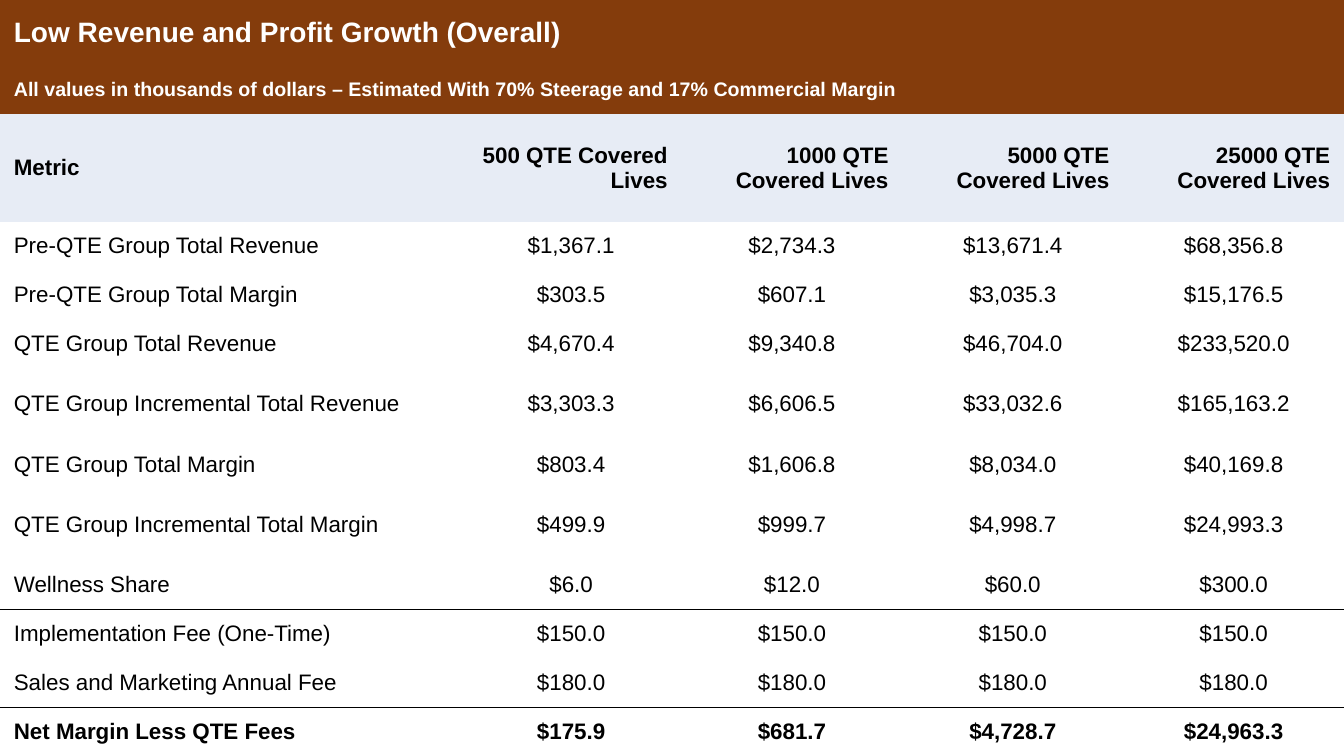
from lxml import etree
from pptx import Presentation
from pptx.dml.color import RGBColor
from pptx.enum.text import MSO_ANCHOR, PP_ALIGN
from pptx.oxml.ns import qn
from pptx.util import Cm, Pt

LEFT, MID, RIGHT = PP_ALIGN.LEFT, PP_ALIGN.CENTER, PP_ALIGN.RIGHT
CENTER = MSO_ANCHOR.MIDDLE
BROWN = RGBColor(0x84, 0x3C, 0x0C)
PALE = RGBColor(0xE7, 0xEC, 0xF5)
WHITE = RGBColor(0xFF, 0xFF, 0xFF)
BLACK = RGBColor(0, 0, 0)
FONT = "Arial"
NO_GRID = "{2D5ABB26-0587-4C30-8999-92F81FD0307C}"

# Content
TITLES = [
    ("Low Revenue and Profit Growth (Overall)", 20),
    ("All values in thousands of dollars – Estimated With 70% Steerage "
     "and 17% Commercial Margin", 14),
]
HEADS = ["Metric", "500 QTE Covered Lives", "1000 QTE Covered Lives",
         "5000 QTE Covered Lives", "25000 QTE Covered Lives"]
METRICS = [
    ("Pre-QTE Group Total Revenue", "$1,367.1", "$2,734.3", "$13,671.4", "$68,356.8"),
    ("Pre-QTE Group Total Margin", "$303.5", "$607.1", "$3,035.3", "$15,176.5"),
    ("QTE Group Total Revenue", "$4,670.4", "$9,340.8", "$46,704.0", "$233,520.0"),
    ("QTE Group Incremental Total Revenue", "$3,303.3", "$6,606.5", "$33,032.6", "$165,163.2"),
    ("QTE Group Total Margin", "$803.4", "$1,606.8", "$8,034.0", "$40,169.8"),
    ("QTE Group Incremental Total Margin", "$499.9", "$999.7", "$4,998.7", "$24,993.3"),
    ("Wellness Share", "$6.0", "$12.0", "$60.0", "$300.0"),
    ("Implementation Fee (One-Time)", "$150.0", "$150.0", "$150.0", "$150.0"),
    ("Sales and Marketing Annual Fee", "$180.0", "$180.0", "$180.0", "$180.0"),
    ("Net Margin Less QTE Fees", "$175.9", "$681.7", "$4,728.7", "$24,963.3"),
]
RULED = {"Wellness Share", "Sales and Marketing Annual Fee"}  # line below
TOTAL = "Net Margin Less QTE Fees"

# Sizes in cm
WIDTHS = [11.61] + [5.565] * 4
LOW, TALL = 1.23, 1.81
HEIGHTS = [1.65, 1.22, 2.72] + [
    TALL if "Incremental" in row[0] else LOW for row in METRICS]
PAD = Cm(0.35)


def write(cell, text, size, color, bold, align, fill=None):
    cell.margin_left = cell.margin_right = 0
    cell.margin_top = cell.margin_bottom = 0
    cell.vertical_anchor = CENTER
    if fill is None:
        cell.fill.background()
    else:
        cell.fill.solid()
        cell.fill.fore_color.rgb = fill
    para = cell.text_frame.paragraphs[0]
    para.alignment = align
    props = para._p.get_or_add_pPr()
    for side in ("marL", "marR"):
        props.set(side, str(PAD))
    run = para.add_run()
    run.text = text
    font = run.font
    font.name, font.size, font.bold = FONT, Pt(size), bold
    font.color.rgb = color


def rule(cell, side, shown):
    line = etree.Element(qn("a:" + side), w=str(Pt(1) if shown else 0))
    if shown:
        fill = etree.SubElement(line, qn("a:solidFill"))
        etree.SubElement(fill, qn("a:srgbClr"), val=str(BLACK))
    else:
        etree.SubElement(line, qn("a:noFill"))
    cell._tc.get_or_add_tcPr().insert(0, line)


def main():
    deck = Presentation()
    deck.slide_width, deck.slide_height = Cm(33.87), Cm(19.05)
    slide = deck.slides.add_slide(deck.slide_layouts[6])

    # Table frame
    frame = slide.shapes.add_table(len(HEIGHTS), len(WIDTHS), 0, 0,
                                   Cm(sum(WIDTHS)), Cm(sum(HEIGHTS)))
    table = frame.table
    table.first_row = table.horz_banding = False
    table._tbl.tblPr.find(qn("a:tableStyleId")).text = NO_GRID
    for col, width in zip(table.columns, WIDTHS):
        col.width = Cm(width)
    for row, height in zip(table.rows, HEIGHTS):
        row.height = Cm(height)

    # Title bands
    last = len(WIDTHS) - 1
    for r, (text, size) in enumerate(TITLES):
        table.cell(r, 0).merge(table.cell(r, last))
        write(table.cell(r, 0), text, size, WHITE, True, LEFT, BROWN)

    # Column heads
    top = len(TITLES)
    for c, text in enumerate(HEADS):
        write(table.cell(top, c), text, 16, BLACK, True, RIGHT if c else LEFT, PALE)

    # Metrics, with each edge set on both of the cells it parts
    above = False
    for r, row in enumerate(METRICS, top + 1):
        below = row[0] in RULED
        for c, text in enumerate(row):
            cell = table.cell(r, c)
            write(cell, text, 16, BLACK, row[0] == TOTAL, MID if c else LEFT)
            rule(cell, "lnB", below)
            rule(cell, "lnT", above)
        above = below

    deck.save("out.pptx")


if __name__ == "__main__":
    main()
